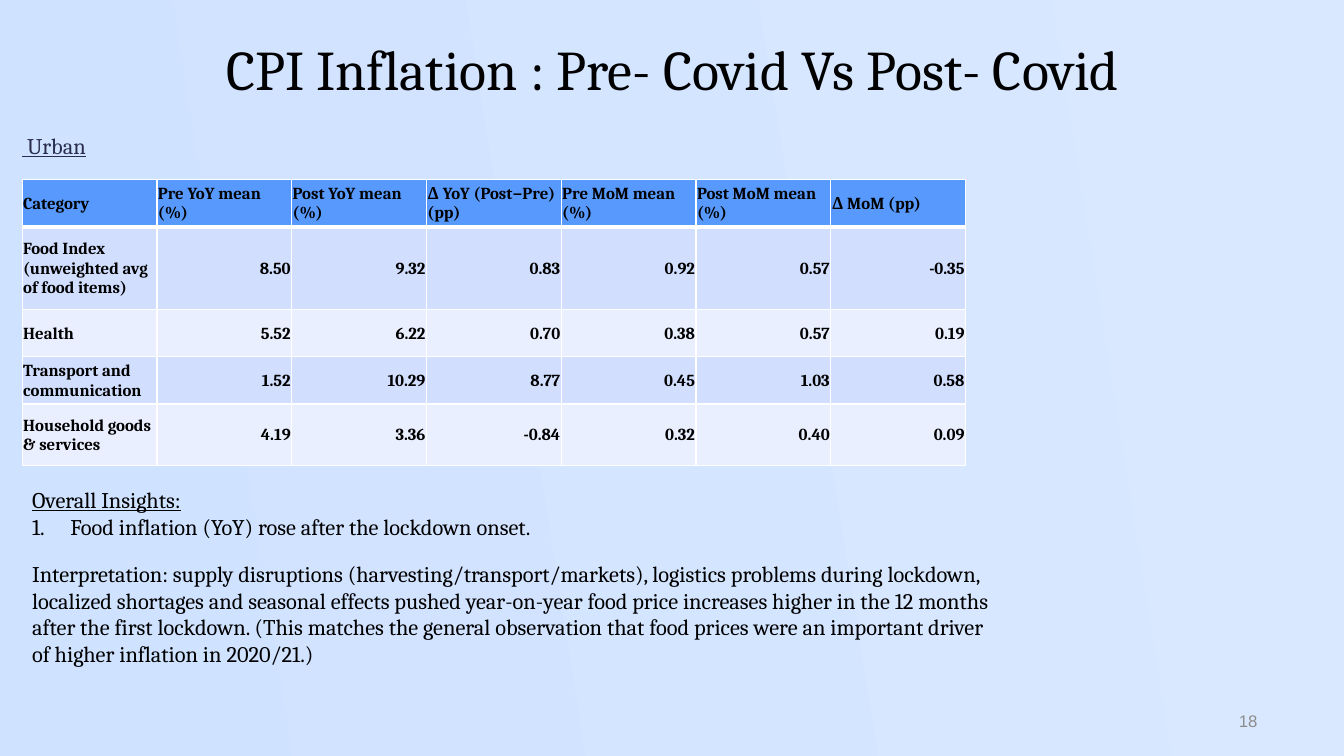
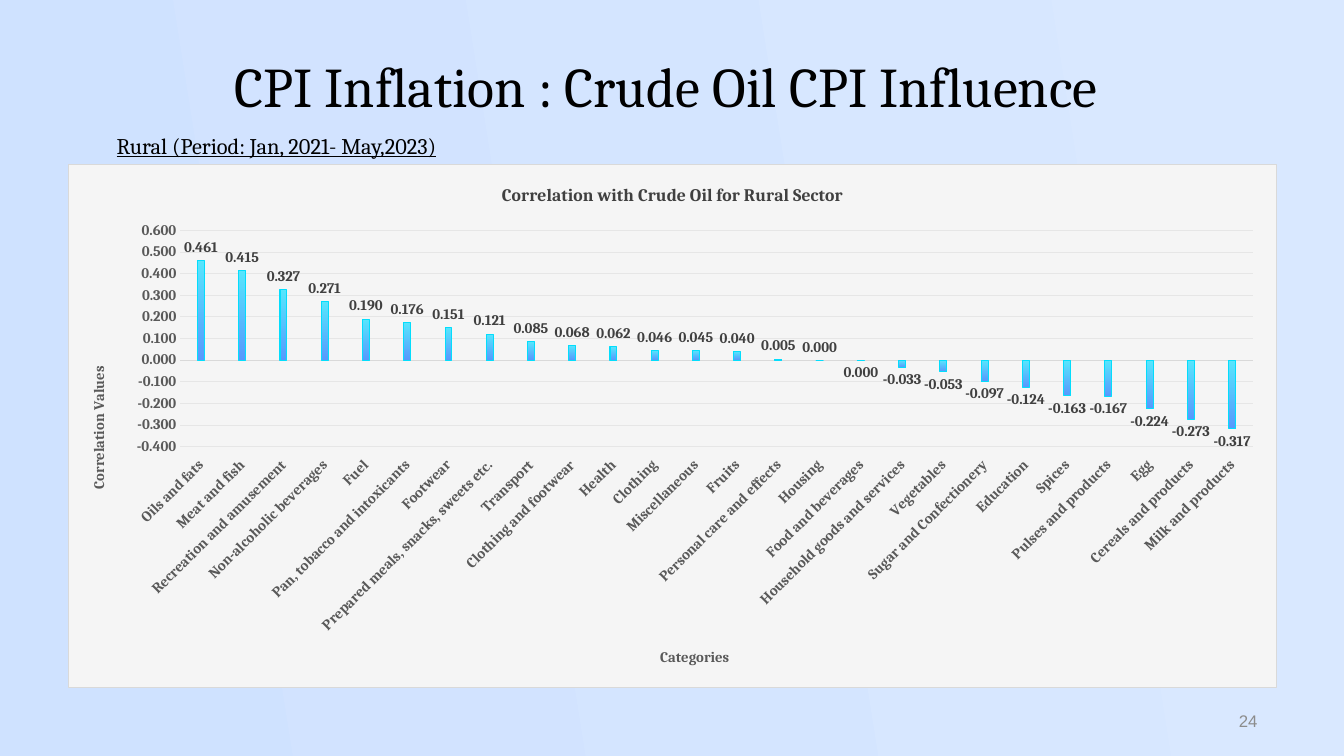
from dataclasses import dataclass

from pptx import Presentation
from pptx import util as u
from pptx.chart import data as chart_data
from pptx.dml import color as dml
from pptx.enum import chart as ch
from pptx.enum import text as t
from pptx.oxml import ns, parse_xml

SERIF = "Cambria"
BLACK = "000000"
WHITE = "FFFFFF"
SKY = "CFE2FF"
PALE_SKY = "D9E8FF"
BLUE = "5799FD"
CYAN = "57E6FD"
BAR_EDGE = "03DDFC"
NAVY = "292D4B"
GRAY = "8C8C8C"
AXIS_GRAY = "595959"
LABEL_GRAY = "404040"
BORDER_GRAY = "D9D9D9"
GRID_GRAY = "E6E6E6"
CHART_FILL = "F5F5F5"
BAND_FILLS = ("D1DEFE", "EAEFFF")
VALUE_FORMAT = "0.000"


@dataclass(frozen=True)
class Box:
    left: float
    top: float
    width: float
    height: float

    def lengths(self) -> tuple:
        return tuple(u.Inches(n) for n in (self.left, self.top, self.width, self.height))


@dataclass(frozen=True)
class Style:
    size: float = 16
    color: str = BLACK
    font: str = SERIF
    bold: bool = False
    underline: bool = False


@dataclass(frozen=True)
class Line:
    content: str
    style: Style = Style()
    align: t.PP_ALIGN = t.PP_ALIGN.LEFT
    spacing: float = 1.0
    before: float = 0
    numbered: bool = False


@dataclass(frozen=True)
class TableRow:
    height: float
    cells: tuple


TITLE = Style(40)
UNDERLINED = Style(underline=True)
CELL = Style(12, bold=True)
AXIS = Style(10.5, AXIS_GRAY, bold=True)
DATA_LABEL = Style(10.5, LABEL_GRAY, bold=True)
CHART_TITLE = Style(12.6, LABEL_GRAY, bold=True)

COLUMN_WIDTH = 1.337
TABLE_ROWS = (
    TableRow(0.47, ("Category", "Pre YoY mean (%)", "Post YoY mean (%)", "Δ YoY (Post−Pre) (pp)",
                    "Pre MoM mean (%)", "Post MoM mean (%)", "Δ MoM (pp)")),
    TableRow(0.82, ("Food Index (unweighted avg of food items)",
                    "8.50", "9.32", "0.83", "0.92", "0.57", "-0.35")),
    TableRow(0.47, ("Health", "5.52", "6.22", "0.70", "0.38", "0.57", "0.19")),
    TableRow(0.47, ("Transport and communication", "1.52", "10.29", "8.77", "0.45", "1.03", "0.58")),
    TableRow(0.61, ("Household goods & services", "4.19", "3.36", "-0.84", "0.32", "0.40", "0.09")),
)

CORRELATIONS = (
    ("Oils and fats", 0.461),
    ("Meat and fish", 0.415),
    ("Recreation and amusement", 0.327),
    ("Non-alcoholic beverages", 0.271),
    ("Fuel", 0.19),
    ("Pan, tobacco and intoxicants", 0.176),
    ("Footwear", 0.151),
    ("Prepared meals, snacks, sweets etc.", 0.121),
    ("Transport", 0.085),
    ("Clothing and footwear", 0.068),
    ("Health", 0.062),
    ("Clothing", 0.046),
    ("Miscellaneous", 0.045),
    ("Fruits", 0.04),
    ("Personal care and effects", 0.005),
    ("Housing", 0),
    ("Food and beverages", 0),
    ("Household goods and services", -0.033),
    ("Vegetables", -0.053),
    ("Sugar and Confectionery", -0.097),
    ("Education", -0.124),
    ("Spices", -0.163),
    ("Pulses and products", -0.167),
    ("Egg", -0.224),
    ("Cereals and products", -0.273),
    ("Milk and products", -0.317),
)
LABEL_BELOW = "Food and beverages"


def rgb(value: str) -> dml.RGBColor:
    return dml.RGBColor.from_string(value)


def apply_font(font, style: Style) -> None:
    font.name = style.font
    font.size = u.Pt(style.size)
    font.bold = style.bold
    font.underline = style.underline
    font.color.rgb = rgb(style.color)


def add_run(paragraph, content: str, style: Style) -> None:
    run = paragraph.add_run()
    run.text = content
    apply_font(run.font, style)


def fill_gradient(fill, colors: tuple, angle: float) -> None:
    fill.gradient()
    fill.gradient_angle = angle
    for stop, value, position in zip(fill.gradient_stops, colors, (0, 1)):
        stop.color.rgb = rgb(value)
        stop.position = position


def number_paragraph(paragraph) -> None:
    properties = paragraph._p.get_or_add_pPr()
    indent = u.Inches(0.38)
    properties.set("marL", str(indent))
    properties.set("indent", str(-indent))
    properties.append(parse_xml(f'<a:buAutoNum {ns.nsdecls("a")} type="arabicPeriod"/>'))


def add_text(slide, box: Box, lines: tuple, anchor=t.MSO_ANCHOR.TOP, inset: bool = True) -> None:
    frame = slide.shapes.add_textbox(*box.lengths()).text_frame
    frame.word_wrap = True
    frame.vertical_anchor = anchor
    if not inset:
        frame.margin_left = frame.margin_right = frame.margin_top = frame.margin_bottom = 0
    for index, line in enumerate(lines):
        paragraph = frame.add_paragraph() if index else frame.paragraphs[0]
        paragraph.alignment = line.align
        paragraph.line_spacing = line.spacing
        if line.before:
            paragraph.space_before = u.Pt(line.before)
        if line.numbered:
            number_paragraph(paragraph)
        add_run(paragraph, line.content, line.style)


def add_slide(presentation, title: str, title_box: Box, number: str):
    slide = presentation.slides.add_slide(presentation.slide_layouts[6])
    add_text(slide, title_box, (Line(title, TITLE, t.PP_ALIGN.CENTER),), t.MSO_ANCHOR.BOTTOM, False)
    number_line = Line(number, Style(12, GRAY, "Arial"), t.PP_ALIGN.RIGHT)
    add_text(slide, Box(9.57, 6.95, 3, 0.4), (number_line,), t.MSO_ANCHOR.MIDDLE)
    return slide


def add_borders(cell, widths: dict) -> None:
    properties = cell._tc.get_or_add_tcPr()
    for side, width in widths.items():
        properties.append(parse_xml(
            f'<a:ln{side} {ns.nsdecls("a")} w="{u.Pt(width)}"><a:solidFill>'
            f'<a:srgbClr val="{WHITE}"/></a:solidFill></a:ln{side}>'))


def add_inflation_table(slide, left: float, top: float) -> None:
    columns = len(TABLE_ROWS[0].cells)
    box = Box(left, top, COLUMN_WIDTH * columns, sum(row.height for row in TABLE_ROWS))
    table = slide.shapes.add_table(len(TABLE_ROWS), columns, *box.lengths()).table
    table.horz_banding = False
    for column in table.columns:
        column.width = u.Inches(COLUMN_WIDTH)
    for row_index, row in enumerate(TABLE_ROWS):
        table.rows[row_index].height = u.Inches(row.height)
        header = row_index == 0
        for column_index, content in enumerate(row.cells):
            cell = table.cell(row_index, column_index)
            cell.margin_left = cell.margin_right = cell.margin_top = u.Inches(0.01)
            cell.margin_bottom = 0
            cell.vertical_anchor = t.MSO_ANCHOR.MIDDLE
            add_borders(cell, {"L": 1, "R": 1, "T": 3 if row_index == 1 else 1, "B": 3 if header else 1})
            cell.fill.solid()
            cell.fill.fore_color.rgb = rgb(BLUE if header else BAND_FILLS[(row_index - 1) % 2])
            paragraph = cell.text_frame.paragraphs[0]
            numeric = column_index > 0 and not header
            paragraph.alignment = t.PP_ALIGN.RIGHT if numeric else t.PP_ALIGN.LEFT
            add_run(paragraph, content, CELL)


def style_axis(axis, title: str, title_rotation: int) -> None:
    frame = axis.axis_title.text_frame
    add_run(frame.paragraphs[0], title, AXIS)
    body = frame._txBody.find(ns.qn("a:bodyPr"))
    body.set("rot", str(title_rotation * 60000))
    body.set("vert", "horz")
    axis.major_tick_mark = axis.minor_tick_mark = ch.XL_TICK_MARK.NONE
    apply_font(axis.tick_labels.font, AXIS)


def style_line(line, color: str) -> None:
    line.color.rgb = rgb(color)
    line.width = u.Pt(0.75)


def style_axes(chart) -> None:
    categories = chart.category_axis
    style_axis(categories, "Categories", 0)
    categories.tick_label_position = ch.XL_TICK_LABEL_POSITION.LOW
    categories.has_major_gridlines = False
    style_line(categories.format.line, BORDER_GRAY)
    body = categories._element.find(ns.qn("c:txPr")).find(ns.qn("a:bodyPr"))
    body.set("rot", str(-45 * 60000))
    body.set("vert", "horz")

    values = chart.value_axis
    style_axis(values, "Correlation Values", -90)
    values.minimum_scale, values.maximum_scale, values.major_unit = -0.4, 0.6, 0.1
    values.tick_labels.number_format = VALUE_FORMAT
    values.tick_labels.number_format_is_linked = False
    values.format.line.fill.background()
    style_line(values.major_gridlines.format.line, GRID_GRAY)


def style_bars(plot) -> None:
    plot.gap_width = 500
    plot.overlap = -50
    plot.vary_by_categories = False
    series = plot.series[0]
    series.invert_if_negative = False
    fill_gradient(series.format.fill, (CYAN, BLUE), 270)
    style_line(series.format.line, BAR_EDGE)
    labels = series.data_labels
    labels.show_value = True
    labels.position = ch.XL_LABEL_POSITION.OUTSIDE_END
    labels.number_format = VALUE_FORMAT
    labels.number_format_is_linked = False
    apply_font(labels.font, DATA_LABEL)

    below = [name for name, _ in CORRELATIONS].index(LABEL_BELOW)
    label = series.points[below].data_label
    apply_font(label.font, DATA_LABEL)
    label.position = ch.XL_LABEL_POSITION.INSIDE_END
    element = next(labels._element.iter(ns.qn("c:dLbl")))
    element.find(ns.qn("c:idx")).addnext(parse_xml(
        f'<c:numFmt {ns.nsdecls("c")} formatCode="{VALUE_FORMAT}" sourceLinked="0"/>'))


def add_correlation_chart(slide, box: Box) -> None:
    data = chart_data.CategoryChartData(number_format=VALUE_FORMAT)
    names, values = zip(*CORRELATIONS)
    data.categories = names
    data.add_series("Series 1", values)
    chart = slide.shapes.add_chart(ch.XL_CHART_TYPE.COLUMN_CLUSTERED, *box.lengths(), data).chart
    apply_font(chart.font, AXIS)
    chart.has_legend = False
    add_run(chart.chart_title.text_frame.paragraphs[0], "Correlation with Crude Oil for Rural Sector", CHART_TITLE)
    chart.chart_title.include_in_layout = False
    chart.element.find(ns.qn("c:chart")).addnext(parse_xml(
        f'<c:spPr {ns.nsdecls("c", "a")}>'
        f'<a:solidFill><a:srgbClr val="{CHART_FILL}"/></a:solidFill>'
        f'<a:ln w="{u.Pt(0.75)}"><a:solidFill><a:srgbClr val="{BORDER_GRAY}"/></a:solidFill></a:ln></c:spPr>'))
    style_axes(chart)
    style_bars(chart.plots[0])


def build_covid_slide(presentation) -> None:
    slide = add_slide(presentation, "CPI Inflation : Pre- Covid Vs Post- Covid", Box(0.67, 0.24, 12, 0.77), "18")
    urban = Line(" Urban", Style(color=NAVY, underline=True), spacing=1.3)
    add_text(slide, Box(0.22, 1.23, 3.92, 0.62), (urban,), inset=False)
    add_inflation_table(slide, 0.22, 1.78)
    add_text(slide, Box(0.22, 4.77, 9.71, 1.92), (
        Line("Overall Insights:", UNDERLINED),
        Line("Food inflation (YoY) rose after the lockdown onset.", numbered=True),
        Line("Interpretation: supply disruptions (harvesting/transport/markets), logistics problems during "
             "lockdown, localized shortages and seasonal effects pushed year-on-year food price increases "
             "higher in the 12 months after the first lockdown. (This matches the general observation that "
             "food prices were an important driver of higher inflation in 2020/21.)", before=14.5),
    ))


def build_crude_oil_slide(presentation) -> None:
    slide = add_slide(presentation, "CPI Inflation : Crude Oil CPI Influence ", Box(0.76, 0.39, 11.81, 0.79), "24")
    add_text(slide, Box(1.06, 1.26, 4.44, 0.37), (Line("Rural (Period: Jan, 2021- May,2023)", UNDERLINED),))
    add_correlation_chart(slide, Box(0.67, 1.63, 12, 5.2))


def main() -> None:
    presentation = Presentation()
    presentation.slide_width = u.Inches(13.33)
    presentation.slide_height = u.Inches(7.5)
    fill_gradient(presentation.slide_master.background.fill, (SKY, PALE_SKY), 9)
    build_covid_slide(presentation)
    build_crude_oil_slide(presentation)
    presentation.save("out.pptx")


if __name__ == "__main__":
    main()
